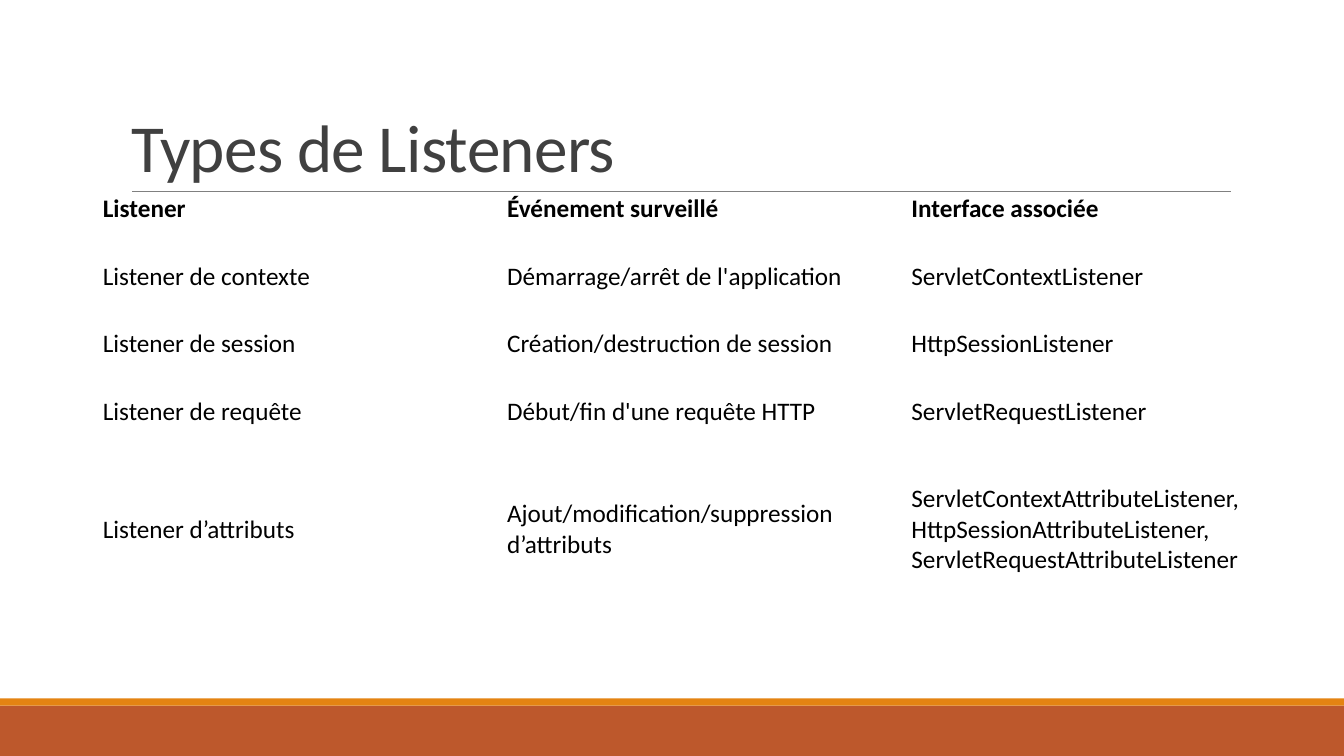
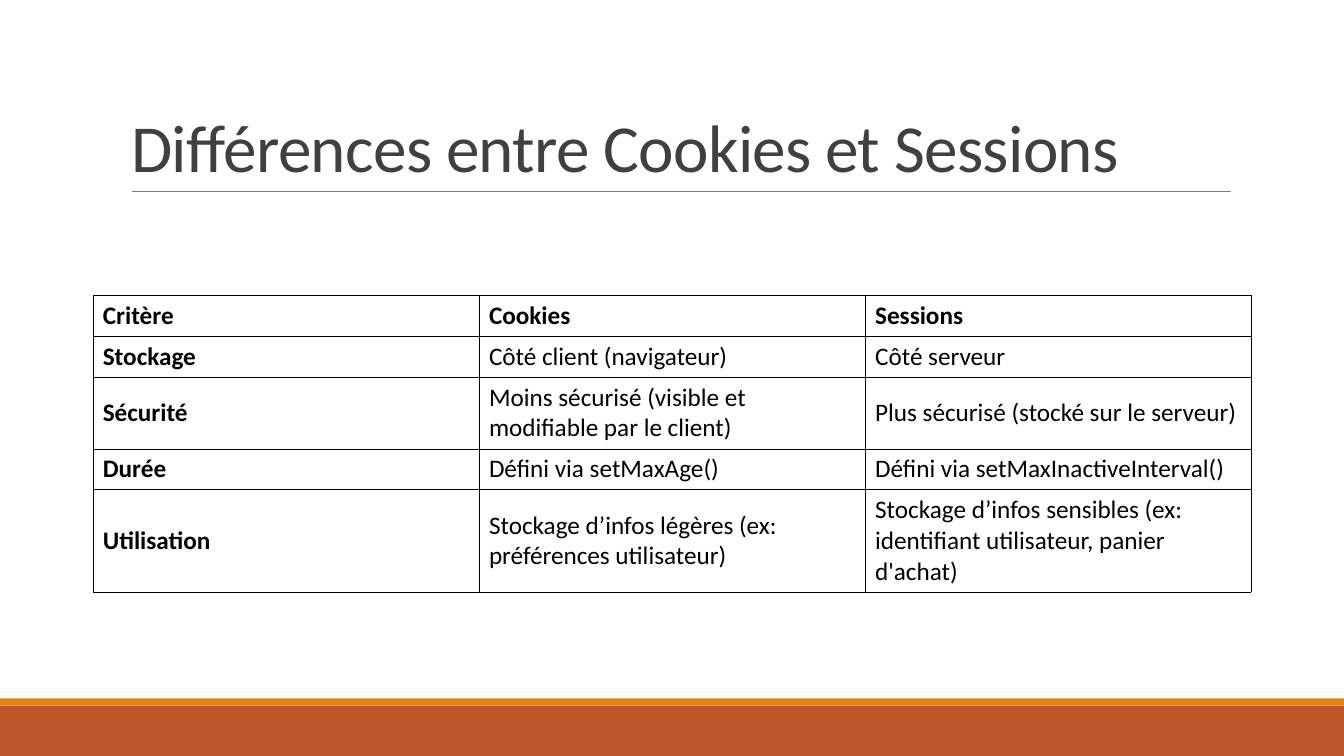
import dataclasses

import lxml.etree
import pptx
import pptx.dml.color
import pptx.enum.shapes
import pptx.enum.text
import pptx.oxml.ns
import pptx.util

PX = 9144
TITLE_ONLY = 5
NO_GRID_STYLE = "{2D5ABB26-0587-4C30-8999-92F81FD0307C}"
qn = pptx.oxml.ns.qn


@dataclasses.dataclass(frozen=True)
class Theme:
    font: str = "Calibri"
    title_size: int = 48
    cell_size: int = 18
    title: str = "404040"
    ink: str = "000000"
    rule: str = "808080"
    band: str = "BD582C"
    stripe: str = "E48312"
    rule_width: float = 0.5
    border_width: float = 0.25


THEME = Theme()


def px(n):
    return pptx.util.Emu(n * PX)


def rgb(value):
    return pptx.dml.color.RGBColor.from_string(value)


def write(tf, text, size, color, bold=False, spacing=None, line_spacing=None):
    p = tf.paragraphs[0]
    p.alignment = pptx.enum.text.PP_ALIGN.LEFT
    if line_spacing is not None:
        p.line_spacing = line_spacing
    r = p.add_run()
    r.text = text
    r.font.name = THEME.font
    r.font.size = pptx.util.Pt(size)
    r.font.bold = bold
    r.font.color.rgb = rgb(color)
    if spacing is not None:
        r._r.get_or_add_rPr().set("spc", str(round(spacing * 100)))


def add_borders(cell, color, width):
    tcPr = cell._tc.get_or_add_tcPr()
    for side in ("a:lnL", "a:lnR", "a:lnT", "a:lnB"):
        ln = lxml.etree.SubElement(tcPr, qn(side), w=str(pptx.util.Pt(width)))
        fill = lxml.etree.SubElement(ln, qn("a:solidFill"))
        lxml.etree.SubElement(fill, qn("a:srgbClr"), val=color)


class Deck:
    def __init__(self, theme):
        self.theme = theme
        self.prs = pptx.Presentation()
        self.prs.slide_width = px(1333)
        self.prs.slide_height = px(750)
        self.s = None

    def slide(self, title):
        self.s = self.prs.slides.add_slide(self.prs.slide_layouts[TITLE_ONLY])
        self.band(700, 50, self.theme.band)
        self.band(693, 7, self.theme.stripe)
        self.rule(131, 1221, 190)
        self.title(title)

    def band(self, y, h, color):
        sp = self.s.shapes.add_shape(
            pptx.enum.shapes.MSO_SHAPE.RECTANGLE, 0, px(y), self.prs.slide_width, px(h))
        sp.shadow.inherit = False
        sp.fill.solid()
        sp.fill.fore_color.rgb = rgb(color)
        sp.line.fill.background()

    def rule(self, x1, x2, y):
        line = self.s.shapes.add_connector(
            pptx.enum.shapes.MSO_CONNECTOR.STRAIGHT, px(x1), px(y), px(x2), px(y))
        line.line.color.rgb = rgb(self.theme.rule)
        line.line.width = pptx.util.Pt(self.theme.rule_width)
        lxml.etree.SubElement(line._element.spPr, qn("a:effectLst"))

    def title(self, text):
        sp = self.s.shapes.title
        sp.left, sp.top, sp.width, sp.height = px(120), px(31), px(1100), px(159)
        tf = sp.text_frame
        tf.word_wrap = True
        tf.auto_size = pptx.enum.text.MSO_AUTO_SIZE.NONE
        tf.vertical_anchor = pptx.enum.text.MSO_ANCHOR.BOTTOM
        write(tf, text, self.theme.title_size, self.theme.title,
              spacing=-0.5, line_spacing=0.85)

    def table(self, x, y, col_width, row_heights, rows, bold_first_col=False, bordered=False):
        cols = len(rows[0])
        table = self.s.shapes.add_table(
            len(rows), cols, px(x), px(y), px(col_width * cols), px(sum(row_heights))).table
        table.first_row = bold_first_col
        table.first_row = False
        table.horz_banding = False
        table._tbl.tblPr.find(qn("a:tableStyleId")).text = NO_GRID_STYLE
        for col in table.columns:
            col.width = px(col_width)
        for i, (height, texts) in enumerate(zip(row_heights, rows)):
            table.rows[i].height = px(height)
            for j, text in enumerate(texts):
                cell = table.cell(i, j)
                cell.vertical_anchor = pptx.enum.text.MSO_ANCHOR.MIDDLE
                if bordered:
                    add_borders(cell, self.theme.ink, self.theme.border_width)
                cell.fill.background()
                write(cell.text_frame, text, self.theme.cell_size, self.theme.ink,
                      bold=i == 0 or (bold_first_col and j == 0))


LISTENERS = [
    ("Listener", "Événement surveillé", "Interface associée"),
    ("Listener de contexte", "Démarrage/arrêt de l'application", "ServletContextListener"),
    ("Listener de session", "Création/destruction de session", "HttpSessionListener"),
    ("Listener de requête", "Début/fin d'une requête HTTP", "ServletRequestListener"),
    ("Listener d’attributs", "Ajout/modification/suppression d’attributs",
     "ServletContextAttributeListener, HttpSessionAttributeListener, "
     "ServletRequestAttributeListener"),
]

COOKIES_AND_SESSIONS = [
    ("Critère", "Cookies", "Sessions"),
    ("Stockage", "Côté client (navigateur)", "Côté serveur"),
    ("Sécurité", "Moins sécurisé (visible et modifiable par le client)",
     "Plus sécurisé (stocké sur le serveur)"),
    ("Durée", "Défini via setMaxAge()", "Défini via setMaxInactiveInterval()"),
    ("Utilisation", "Stockage d’infos légères (ex: préférences utilisateur)",
     "Stockage d’infos sensibles (ex: identifiant utilisateur, panier d'achat)"),
]


def main():
    deck = Deck(THEME)
    deck.slide("Types de Listeners")
    deck.table(92, 174, 401, [67] * 4 + [167], LISTENERS)
    deck.slide("Différences entre Cookies et Sessions")
    deck.table(92, 293, 383, [40, 40, 70, 40, 100], COOKIES_AND_SESSIONS,
               bold_first_col=True, bordered=True)
    deck.prs.save("out.pptx")


if __name__ == "__main__":
    main()
